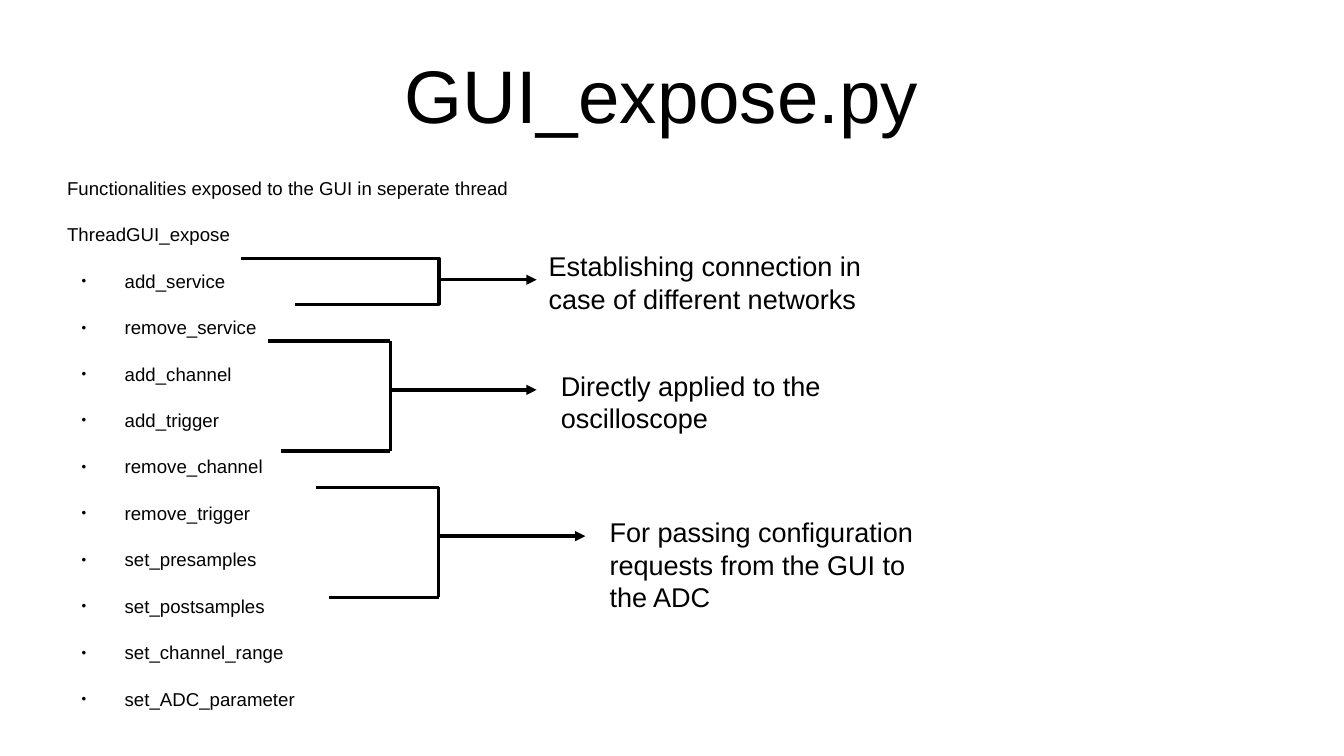
"""Build the GUI_expose.py slide: exposed functions grouped by purpose."""
from lxml.etree import SubElement
from pptx import Presentation
from pptx.dml.color import RGBColor
from pptx.enum.shapes import MSO_CONNECTOR
from pptx.enum.text import MSO_ANCHOR, MSO_AUTO_SIZE, PP_ALIGN
from pptx.oxml.ns import qn
from pptx.util import Pt

COLORS = {"ink": "000000", "page": "FFFFFF"}
INK = RGBColor.from_string(COLORS["ink"])


def format_text(paragraph, size):
    for run in paragraph.runs:
        run.font.name = "Arial"
        run.font.size = Pt(size)
        run.font.color.rgb = INK


def draw_line(kind, x1, y1, x2, y2, arrow=False):
    line = slide.shapes.add_connector(kind, Pt(x1), Pt(y1), Pt(x2), Pt(y2))
    line.line.color.rgb = INK
    line.line.width = Pt(0)
    properties = line._element.spPr
    if arrow:
        SubElement(properties.find(qn("a:ln")), qn("a:tailEnd"), type="triangle")
    SubElement(properties, qn("a:effectLst"))
    return line


prs = Presentation()
prs.slide_width, prs.slide_height = Pt(793.44), Pt(446.4)
slide = prs.slides.add_slide(prs.slide_layouts[1])
slide.background.fill.solid()
slide.background.fill.fore_color.rgb = RGBColor.from_string(COLORS["page"])

title, functions = slide.shapes.title, slide.placeholders[1]
for holder, top, height in ((title, 18, 74.9), (functions, 104.4, 259.2)):
    holder.left, holder.top = Pt(39.6), Pt(top)
    holder.width, holder.height = Pt(714.24), Pt(height)
    frame = holder.text_frame
    frame.margin_left = frame.margin_right = Pt(0)
    frame.margin_top = frame.margin_bottom = Pt(0)
    frame.word_wrap = True
    frame.auto_size = MSO_AUTO_SIZE.NONE

title.text_frame.text = "GUI_expose.py"
title.text_frame.margin_right = Pt(12.2)
title.text_frame.vertical_anchor = MSO_ANCHOR.MIDDLE
title.text_frame.paragraphs[0].alignment = PP_ALIGN.CENTER
format_text(title.text_frame.paragraphs[0], 44)

headings = ["Functionalities exposed to the GUI in seperate thread", "ThreadGUI_expose"]
names = [
    "add_service", "remove_service", "add_channel", "add_trigger",
    "remove_channel", "remove_trigger", "set_presamples", "set_postsamples",
    "set_channel_range", "set_ADC_parameter",
]
functions.text_frame.vertical_anchor = MSO_ANCHOR.TOP
functions.text_frame.text = "\n".join(headings + names)
for index, paragraph in enumerate(functions.text_frame.paragraphs):
    layout = paragraph._p.get_or_add_pPr()
    if index < len(headings):
        layout.set("marL", "0")
        layout.set("indent", "0")
        SubElement(layout, qn("a:buNone"))
    else:
        layout.set("marL", str(Pt(34)))
        layout.set("indent", str(Pt(-25.5)))
        bullet_color = SubElement(layout, qn("a:buClr"))
        SubElement(bullet_color, qn("a:srgbClr"), val=COLORS["ink"])
        SubElement(layout, qn("a:buSzPct"), val="45000")
        SubElement(layout, qn("a:buFont"), typeface="Arial")
        SubElement(layout, qn("a:buChar"), char="●")
    paragraph.alignment = PP_ALIGN.LEFT
    paragraph.space_before = Pt(14.2 if index else 0)
    format_text(paragraph, 11)

left, right, spine = 142.5, 174, 259.2
service_bracket = draw_line(MSO_CONNECTOR.ELBOW, left, 152.6, right, 179.7)
guides = service_bracket._element.spPr.find(qn("a:prstGeom")).get_or_add_avLst()
bend = round((spine - left) / (right - left) * 100000)
SubElement(guides, qn("a:gd"), name="adj1", fmla=f"val {bend}")

for upper_x, lower_x, spine, top, bottom in (
    (158.4, 165.6, 230.4, 201.4, 266.4),
    (186.8, 194.4, 259, 287.8, 352.8),
):
    draw_line(MSO_CONNECTOR.STRAIGHT, upper_x, top, spine, top)
    draw_line(MSO_CONNECTOR.STRAIGHT, lower_x, bottom, spine, bottom)
    draw_line(MSO_CONNECTOR.STRAIGHT, spine, bottom, spine, top)

for purpose, start, end, arrow_y, left, top, height in (
    ("Establishing connection in case of different networks",
     259.2, 316.8, 165.2, 316.8, 144, 42.4),
    ("Directly applied to the oscilloscope",
     230.4, 316.8, 230.2, 324, 214.6, 42.4),
    ("For passing configuration requests from the GUI to the ADC",
     259, 345.6, 316.6, 352.8, 301, 60.5),
):
    arrow = draw_line(MSO_CONNECTOR.STRAIGHT, start, arrow_y, end, arrow_y, arrow=True)
    note = slide.shapes.add_textbox(Pt(left), Pt(top), Pt(208.8), Pt(height))
    note.text_frame.word_wrap = True
    note.text_frame.auto_size = MSO_AUTO_SIZE.SHAPE_TO_FIT_TEXT
    note.text_frame.text = purpose
    format_text(note.text_frame.paragraphs[0], 16)
    if end == left:
        arrow.end_connect(note, 1)

prs.save("out.pptx")
